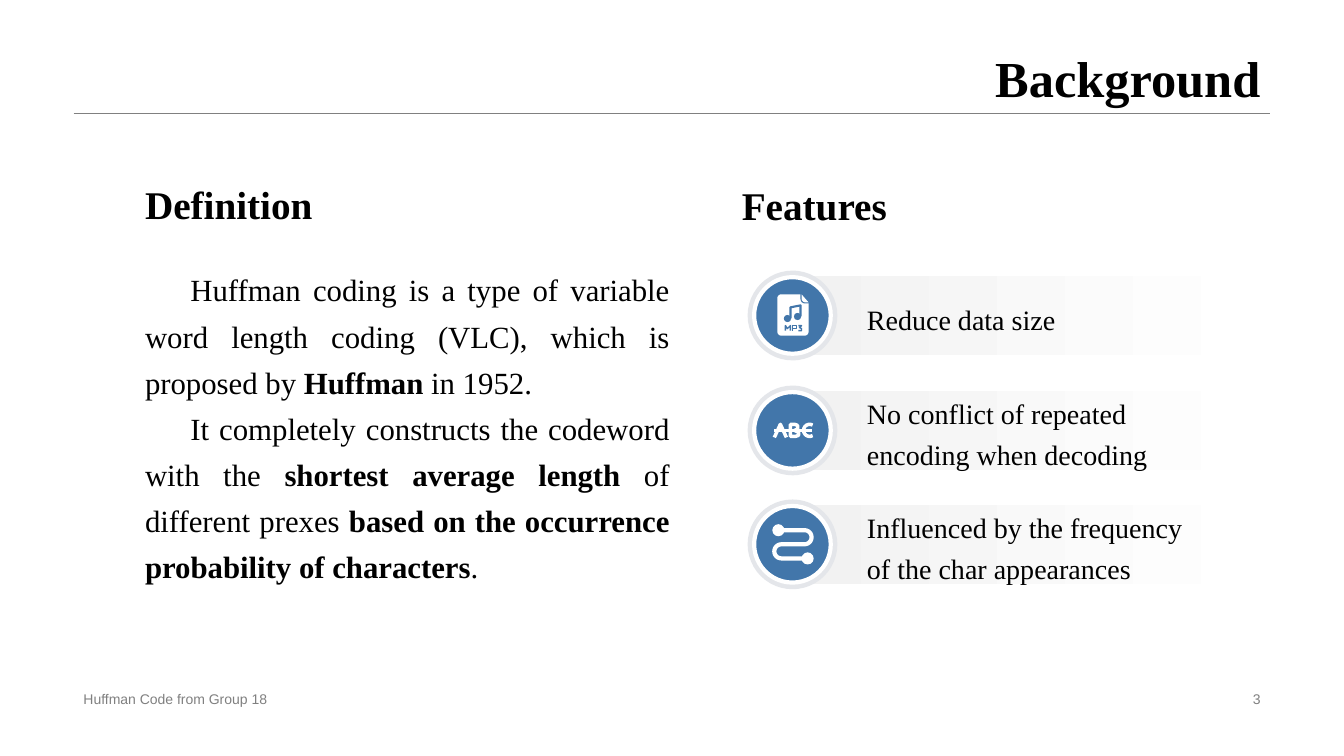
import math

import pptx
import pptx.dml.color
import pptx.enum.shapes
import pptx.enum.text
import pptx.oxml.ns
import pptx.util
from lxml import etree

PX = 9144
BLACK = pptx.dml.color.RGBColor(0x00, 0x00, 0x00)
WHITE = pptx.dml.color.RGBColor(0xFF, 0xFF, 0xFF)
GRAY = pptx.dml.color.RGBColor(0x80, 0x80, 0x80)
BLUE = pptx.dml.color.RGBColor(0x42, 0x76, 0xAA)
RING = pptx.dml.color.RGBColor(0xE4, 0xE6, 0xEA)
BAR = pptx.dml.color.RGBColor(0xF2, 0xF2, 0xF2)

SHAPES = pptx.enum.shapes.MSO_SHAPE
ALIGN = pptx.enum.text.PP_ALIGN
ANCHOR = pptx.enum.text.MSO_ANCHOR
FIT = pptx.enum.text.MSO_AUTO_SIZE.SHAPE_TO_FIT_TEXT

SERIF = {"name": "Times New Roman", "size": pptx.util.Pt(20), "bold": False}
TITLE = {**SERIF, "size": pptx.util.Pt(36), "bold": True}
HEADING = {**SERIF, "size": pptx.util.Pt(28), "bold": True}
BODY = {**SERIF, "size": pptx.util.Pt(22)}
SMALL = {"name": "Arial", "size": pptx.util.Pt(10)}

DEFINITION = [
    [("Huffman coding is a type of variable word length coding (VLC), which is proposed by ", False),
     ("Huffman", True), (" in 1952.", False)],
    [("It completely constructs the codeword with the ", False),
     ("shortest average length", True), (" of different prexes ", False),
     ("based on the occurrence probability of characters", True), (".", False)],
]


def apply(target, values):
    for name, value in values.items():
        setattr(target, name, value)


def px(*lengths):
    return [round(length * PX) for length in lengths]


def write(slide, box, paragraphs, font, color=BLACK, frame=None, layout=None, indent=0):
    text_frame = slide.shapes.add_textbox(*px(*box)).text_frame
    apply(text_frame, {"word_wrap": True, **(frame or {})})
    for number, runs in enumerate(paragraphs):
        paragraph = text_frame.paragraphs[0] if number == 0 else text_frame.add_paragraph()
        apply(paragraph, layout or {})
        if indent:
            paragraph._p.get_or_add_pPr().set("indent", str(indent * PX))
        for text, bold in runs:
            run = paragraph.add_run()
            run.text = text
            apply(run.font, {**font, "bold": bold})
            run.font.color.rgb = color


def write_line(slide, box, text, font, **options):
    write(slide, box, [[(text, font.get("bold"))]], font, **options)


def paint(shape, fill=None, line=None, points=0):
    shape.shadow.inherit = False
    if fill is None:
        shape.fill.background()
    else:
        shape.fill.solid()
        shape.fill.fore_color.rgb = fill
    if line is None:
        shape.line.fill.background()
    else:
        shape.line.color.rgb = line
        shape.line.width = pptx.util.Pt(points)


def disc(slide, center_x, center_y, diameter, fill, line=None, points=0):
    corner = px(center_x - diameter / 2, center_y - diameter / 2, diameter, diameter)
    paint(slide.shapes.add_shape(SHAPES.OVAL, *corner), fill, line, points)


def outline(slide, left, top, contours, closed=False, **colors):
    builder = slide.shapes.build_freeform(*px(*contours[0][0]), scale=1.0)
    for number, contour in enumerate(contours):
        if number:
            builder.move_to(*px(*contour[0]))
        builder.add_line_segments([px(*point) for point in contour[1:]], close=closed)
    paint(builder.convert_to_shape(*px(left, top)), **colors)


def arc(center_x, center_y, radius, start, end):
    angles = [math.radians(start + (end - start) * step / 12) for step in range(13)]
    return [(center_x + radius * math.cos(a), center_y + radius * math.sin(a)) for a in angles]


def music_file_icon(slide, center_x, center_y):
    left, top = center_x - 15, center_y - 21
    page = arc(4, 4, 4, 180, 270) + [(23, 0), (23, 5)] + arc(27, 5, 4, 180, 90)
    page += [(31, 9)] + arc(27, 37, 4, 0, 90) + arc(4, 37, 4, 90, 180)
    fold = [(24, 0), (31, 8), (28, 8)] + arc(28, 4, 4, 90, 180)
    outline(slide, left, top, [page, fold], closed=True, fill=WHITE)
    outline(slide, left, top, [[(13, 24), (13, 13), (23, 11), (23, 22)]], line=BLUE, points=1.5)
    for note_x, note_y in ((10, 24), (20, 22)):
        disc(slide, left + note_x, top + note_y, 7, BLUE)
    letters = [
        [(8, 36), (8, 31), (10, 34), (13, 31), (13, 36)],
        [(15, 36), (15, 31), (19, 31), (19, 34), (15, 34)],
        [(21, 31), (24, 31), (22, 33), (24, 34), (24, 36), (21, 36)],
    ]
    outline(slide, left, top, letters, line=BLUE, points=1)


def struck_letters_icon(slide, center_x, center_y):
    letters = [
        [(2, 15), (8, 2), (14, 15)],
        [(18, 2), (22, 2), (25, 3), (25, 7), (22, 8), (26, 10), (26, 13), (23, 14), (18, 14), (18, 2)],
        arc(37, 8, 6, -60, -300),
        [(2, 8), (39, 8)],
    ]
    outline(slide, center_x - 20, center_y - 8, letters, line=WHITE, points=2.5)


def route_icon(slide, center_x, center_y):
    left, top = center_x - 20, center_y - 21
    track = [(6, 7)] + arc(32, 14, 7, -90, 90) + arc(9, 28, 7, -90, -270) + [(35, 35)]
    outline(slide, left, top, [track], line=WHITE, points=3)
    for stop_x, stop_y in ((6, 7), (35, 35)):
        disc(slide, left + stop_x, top + stop_y, 12, WHITE)


def feature(slide, left, middle, text, text_height, draw_icon):
    bar = slide.shapes.add_shape(SHAPES.SNIP_ROUND_RECTANGLE, *px(left + 44, middle - 39, 473, 78))
    paint(bar)
    for index in range(2):
        bar.adjustments[index] = 0
    bar.fill.gradient()
    bar.fill.gradient_angle = 180
    for stop, color in zip(bar.fill.gradient_stops, (WHITE, BAR)):
        stop.color.rgb = color
    center = left + 44
    disc(slide, center, middle, 89, RING)
    disc(slide, center, middle, 76, BLUE, WHITE, 3)
    draw_icon(slide, center, middle)
    write_line(slide, (left + 108, middle - text_height / 2, 349, text_height), text, SERIF,
               frame={"vertical_anchor": ANCHOR.MIDDLE, "auto_size": FIT},
               layout={"line_spacing": 1.2})


def header(slide, left, top, width, height):
    write_line(slide, (left, top, width, height), "Background", TITLE,
               frame={"vertical_anchor": ANCHOR.BOTTOM},
               layout={"alignment": ALIGN.RIGHT, "line_spacing": 0.9})
    bottom = top + height
    rule = slide.shapes.add_connector(pptx.enum.shapes.MSO_CONNECTOR.STRAIGHT,
                                      *px(left, bottom, left + width, bottom))
    rule.line.color.rgb = GRAY
    rule.line.width = pptx.util.Pt(0.25)
    etree.SubElement(rule._element.spPr, pptx.oxml.ns.qn("a:effectLst"))


def footer(slide, left, top, width, height):
    middle = {"vertical_anchor": ANCHOR.MIDDLE}
    write_line(slide, (left, top, 453, height), "Huffman Code from Group 18", SMALL,
               color=GRAY, frame=middle)
    write_line(slide, (left + width - 318, top, 318, height), "3", SMALL,
               color=GRAY, frame=middle, layout={"alignment": ALIGN.RIGHT})


def definition(slide, left, top, width, height):
    write_line(slide, (left, top, width, 57), "Definition", HEADING, frame={"auto_size": FIT})
    write(slide, (left, top + 81, width, height - 81), DEFINITION, BODY,
          frame={"auto_size": FIT}, indent=45,
          layout={"alignment": ALIGN.JUSTIFY, "line_spacing": 1.25})


def features(slide, left, top, width):
    write_line(slide, (left, top, width, 57), "Features", HEADING, frame={"auto_size": FIT})
    rows = [
        ("Reduce data size", 47, music_file_icon),
        ("No conflict of repeated encoding when decoding", 87, struck_letters_icon),
        ("Influenced by the frequency of the char appearances", 87, route_icon),
    ]
    for number, (text, text_height, draw_icon) in enumerate(rows):
        feature(slide, left + 16, top + 138 + round(113.5 * number), text, text_height, draw_icon)


def main():
    deck = pptx.Presentation()
    apply(deck, dict(zip(("slide_width", "slide_height"), px(1333, 750))))
    slide = deck.slides.add_slide(deck.slide_layouts[6])
    header(slide, 73, 0, 1187, 112)
    definition(slide, 134, 174, 540, 411)
    features(slide, 726, 175, 547)
    footer(slide, 73, 682, 1187, 23)
    deck.save("out.pptx")


if __name__ == "__main__":
    main()
